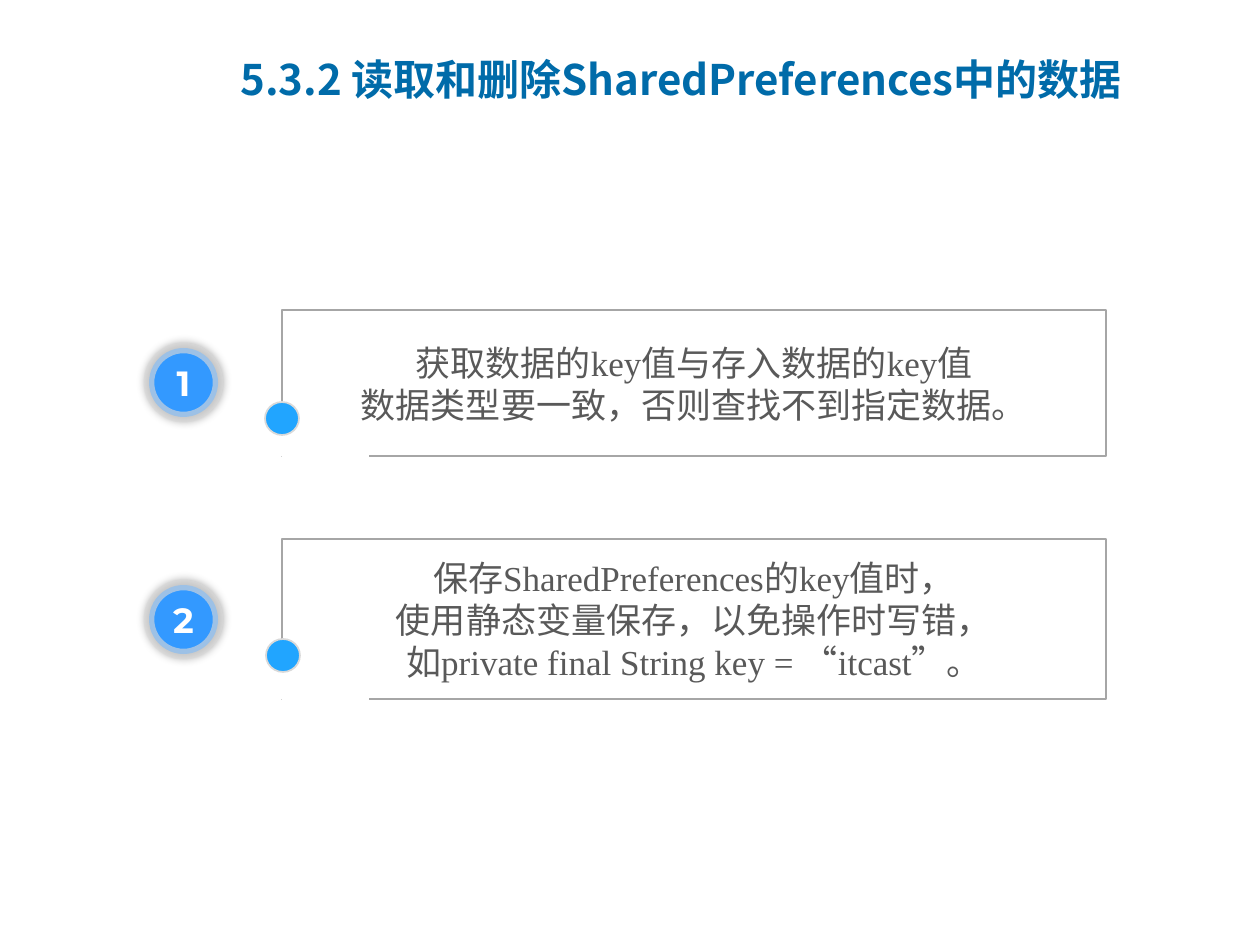
from lxml import etree
from pptx import Presentation
from pptx import util as u
from pptx.dml.color import RGBColor
from pptx.enum import shapes, text
from pptx.oxml.ns import qn

SCALE = 914400 / 126
SANS, SERIF = "Noto Sans CJK SC", "Times New Roman"
KIND = shapes.MSO_SHAPE


def emu(*px):
    return [u.Emu(round(v * SCALE)) for v in px]


def color(code):
    return RGBColor.from_string(code)


def node(parent, tag, **attrs):
    return etree.SubElement(parent, qn(tag), {k: str(v) for k, v in attrs.items()})


def write(para, words, size=20, font=SERIF, fill="595959", bold=False):
    """Add a run whose Chinese characters always use the sans face."""
    run = para.add_run()
    run.text = words
    run.font.size, run.font.name, run.font.bold = u.Pt(size), font, bold
    run.font.color.rgb = color(fill)
    node(run.font._element, "a:ea", typeface=SANS)


class Deck:
    blue, dot_blue, pale, gray = "3399FF", "21A5FF", "D9D9D9", "A6A6A6"

    def __init__(self, width, height):
        self.prs = Presentation()
        self.prs.slide_width, self.prs.slide_height = emu(width, height)
        self.slide = self.prs.slides.add_slide(self.prs.slide_layouts[6])

    def shape(self, kind, area, fill, line, weight):
        item = self.slide.shapes.add_shape(kind, *emu(*area))
        item.shadow.inherit = False
        if fill:
            item.fill.solid()
            item.fill.fore_color.rgb = color(fill)
        else:
            item.fill.background()
        item.line.color.rgb = color(line)
        item.line.width = u.Pt(weight)
        return item

    def badge(self, num, x, y, side):
        """Draw a numbered disc with a translucent rim and a soft glow."""
        disc = self.shape(KIND.OVAL, (x, y, side, side), self.blue, self.pale, 6)
        props = disc._element.spPr
        rim = props.find(qn("a:ln")).find(".//" + qn("a:srgbClr"))
        node(rim, "a:alpha", val=64000)
        glow = node(props.find(qn("a:effectLst")), "a:outerShdw",
                    blurRad=u.Pt(5), dist=0, dir=0, algn="ctr", rotWithShape=0)
        node(node(glow, "a:srgbClr", val="000000"), "a:alpha", val=40000)
        frame = disc.text_frame
        frame.vertical_anchor = text.MSO_ANCHOR.MIDDLE
        para = frame.paragraphs[0]
        para.alignment = text.PP_ALIGN.CENTER
        write(para, str(num), font="Montserrat", fill="FFFFFF", bold=True)

    def panel(self, area, lines):
        box = self.shape(KIND.ROUNDED_RECTANGLE, area, None, self.gray, 1.5)
        box.adjustments[0] = 0
        frame = box.text_frame
        frame.word_wrap = False
        frame.vertical_anchor = text.MSO_ANCHOR.MIDDLE
        for i, runs in enumerate(lines):
            para = frame.add_paragraph() if i else frame.paragraphs[0]
            para.alignment = text.PP_ALIGN.CENTER
            para.line_spacing = u.Pt(24)
            for words, font in runs:
                write(para, words, font=font)

    def mask(self, ends, weight):
        """Hide part of a panel's border under a white line."""
        line = self.slide.shapes.add_connector(
            shapes.MSO_CONNECTOR.STRAIGHT, *emu(*ends))
        line.line.color.rgb = color("FFFFFF")
        line.line.width = u.Pt(weight)
        node(line._element.spPr, "a:effectLst")

    def dot(self, x, y):
        self.shape(KIND.FLOWCHART_CONNECTOR, (x, y, 34, 33),
                   self.dot_blue, self.pale, 1)

    def title(self, words, area):
        frame = self.slide.shapes.add_textbox(*emu(*area)).text_frame
        frame.word_wrap = True
        frame.vertical_anchor = text.MSO_ANCHOR.MIDDLE
        para = frame.paragraphs[0]
        para.line_spacing = u.Pt(28.6)
        indent = emu(78)[0]
        props = para._p.get_or_add_pPr()
        props.set("marL", str(indent))
        props.set("indent", str(-indent))
        write(para, words, size=24, font=SANS, fill="006BA9", bold=True)


# panel top, panel height, badge top, dot left, dot top, mask top, lines
ROWS = [
    (310, 146, 348, 265, 402, 413, [
        [("获取数据", SANS), ("的key值与存入数据的key值", SERIF)],
        [("数据类型要一致，否则", SERIF), ("查找不到指定数据。", "Arial")],
    ]),
    (539, 160, 585, 266, 639, 663, [
        [("保存", "Arial"), ("SharedPreferences的key值时，", SERIF)],
        [("使用静态变量保存，以免操作时写错，", SERIF)],
        [("如private final String key = “itcast”", SERIF), ("。", SANS)],
    ]),
]


def main():
    deck = Deck(1260, 945)
    left, width = 282, 824
    for num, (top, height, disc, x, y, cut, lines) in enumerate(ROWS, 1):
        base = top + height
        deck.badge(num, 149, disc, 69)
        deck.panel((left, top, width, height), lines)
        deck.mask((left, cut, left, base), 4.5)
        deck.mask((left, base, left + 87, base), 3)
        deck.dot(x, y)
    deck.title("5.3.2 读取和删除SharedPreferences中的数据", (228, 26, 917, 106))
    deck.prs.save("out.pptx")


if __name__ == "__main__":
    main()
